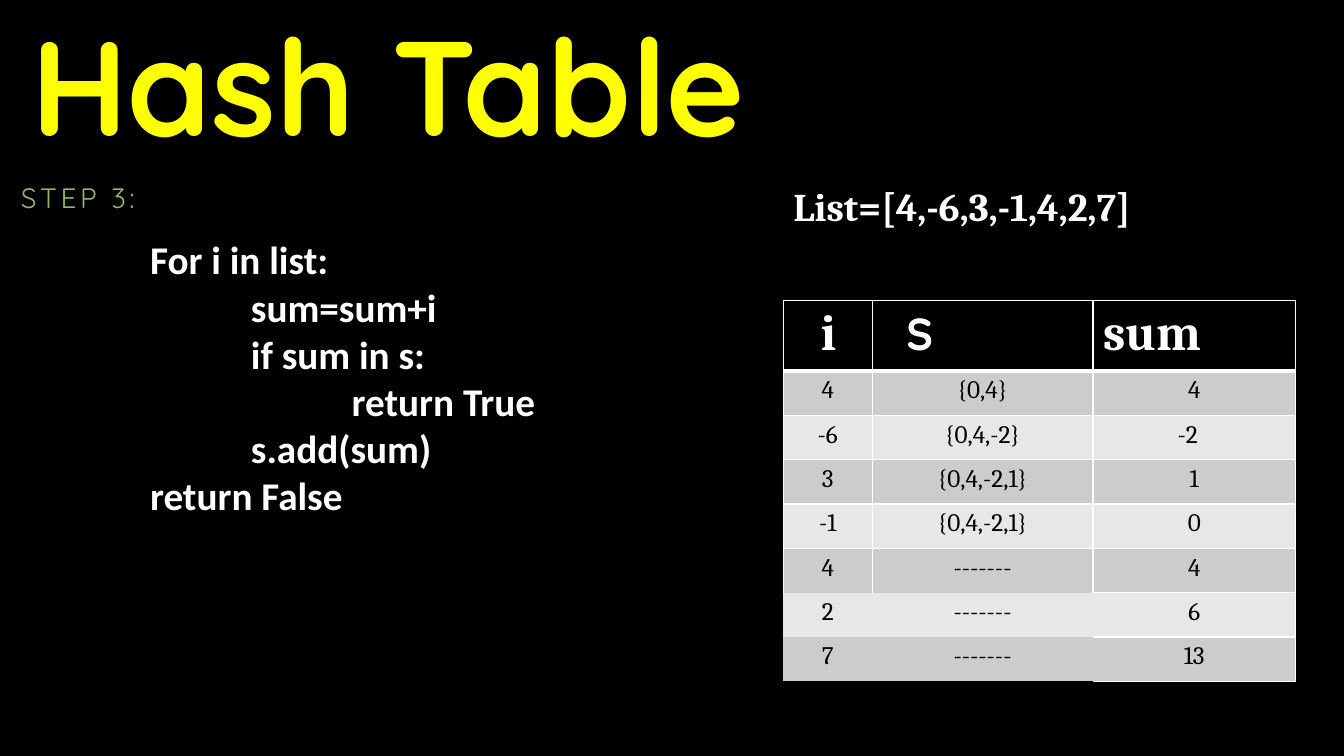
from dataclasses import dataclass
from typing import Any

from lxml import etree
from pptx import Presentation
from pptx.dml.color import RGBColor
from pptx.enum import text as tx
from pptx.oxml import ns
from pptx.util import Inches, Pt


@dataclass(frozen=True)
class Theme:
    back: str = "000000"
    light: str = "FFFFFF"
    title: str = "FFFF00"
    step: str = "96B86B"
    dark: str = "000000"
    bands: tuple[str, str] = ("CCCCCC", "E7E7E7")
    round: str = "Quicksand"
    sans: str = "Calibri"
    serif: str = "Cambria"
    huge: int = 96
    head: int = 36
    set_head: int = 32
    body: int = 28
    label: int = 20
    cell: int = 18


T = Theme()


@dataclass(frozen=True)
class Style:
    font: str
    size: int
    color: str
    bold: bool = False
    track: int = 0  # hundredths of a point


@dataclass(frozen=True)
class Line:
    text: str
    left: float = 0
    right: float = 0
    center: bool = False
    lead: float = 1


@dataclass(frozen=True)
class Box:
    at: tuple[float, float, float, float]
    style: Style
    lines: tuple[Line, ...]


@dataclass(frozen=True)
class Head:
    text: str
    width: float
    left: float
    style: Style


HEADS = (
    Head("i", 0.88, 0.27, Style(T.serif, T.head, T.light, True)),
    Head("S", 2.19, 0.24, Style(T.round, T.set_head, T.light, True)),
    Head("sum", 2.01, 0, Style(T.serif, T.head, T.light, True)),
)
ROWS = (
    ("4", "{0,4}", "4"),
    ("-6", "{0,4,-2}", "-2"),
    ("3", "{0,4,-2,1}", "1"),
    ("-1", "{0,4,-2,1}", "0"),
    ("4", "-------", "4"),
    ("2", "-------", "6"),
    ("7", "-------", "13"),
)
CODE = (
    (0, "For i in list:"),
    (1, "sum=sum+i"),
    (1, "if sum in s:"),
    (2, "return True"),
    (1, "s.add(sum)"),
    (0, "return False"),
)
BOXES = (
    Box((0.11, 1.78, 7.83, 1.08), Style(T.round, T.label, T.step, track=250),
        (Line("STEP 3:", lead=0.9),)),
    Box((1.39, 2.29, 7.48, 2.93), Style(T.sans, T.body, T.light, True),
        tuple(Line(code, left=depth) for depth, code in CODE)),
    Box((7.77, 1.76, 4.96, 0.57), Style(T.serif, T.body, T.light, True),
        (Line("List=[4,-6,3,-1,4,2,7]"),)),
)
FULL = 5  # last row ruled on every column
SIDES = "LRTB"


def write(frame: Any, lines: tuple[Line, ...], style: Style) -> None:
    for n, line in enumerate(lines):
        para = frame.add_paragraph() if n else frame.paragraphs[0]
        para.alignment = tx.PP_ALIGN.CENTER if line.center else tx.PP_ALIGN.LEFT
        para.line_spacing = line.lead
        for key, inset in (("marL", line.left), ("marR", line.right)):
            if inset:
                para._p.get_or_add_pPr().set(key, str(Inches(inset)))
        run = para.add_run()
        run.text = line.text
        font = run.font
        font.name, font.size, font.bold = style.font, Pt(style.size), style.bold
        font.color.rgb = RGBColor.from_string(style.color)
        if style.track:
            run._r.get_or_add_rPr().set("spc", str(style.track))


def place(shape: Any, at: tuple[float, float, float, float]) -> None:
    shape.left, shape.top, shape.width, shape.height = map(Inches, at)


def add_box(slide: Any, box: Box) -> None:
    shape = slide.shapes.add_textbox(*map(Inches, box.at))
    shape.text_frame.word_wrap = True
    write(shape.text_frame, box.lines, box.style)


def rule(cell: Any, widths: dict[str, int]) -> None:
    """Draw the given sides of a cell, in points, and clear the others."""
    props = cell._tc.get_or_add_tcPr()
    for n, side in enumerate(SIDES):
        edge = etree.Element(ns.qn(f"a:ln{side}"))
        if side in widths:
            edge.set("w", str(Pt(widths[side])))
            fill = etree.SubElement(edge, ns.qn("a:solidFill"))
            etree.SubElement(fill, ns.qn("a:srgbClr"), val=T.light)
        else:
            etree.SubElement(edge, ns.qn("a:noFill"))
        props.insert(n, edge)


def edges(row: int, col: int) -> dict[str, int]:
    if row > FULL:
        sides = "RTB" if col == 2 else ""
    else:
        sides = "LRT" if row == FULL and col < 2 else SIDES
    widths = dict.fromkeys(sides, 1)
    if row == 0:
        widths["B"] = 3
    elif row == 1:
        widths["T"] = 3
    return widths


def add_grid(slide: Any) -> None:
    grid = slide.shapes.add_table(len(ROWS) + 1, len(HEADS), Inches(7.77),
                                  Inches(2.98), Inches(5.08), Inches(3.78)).table
    grid.first_row = grid.horz_banding = False
    for n, row in enumerate(grid.rows):
        row.height = Inches(0.44 if n else 0.69)
    plain = Style(T.serif, T.cell, T.dark)
    for col, head in enumerate(HEADS):
        grid.columns[col].width = Inches(head.width)
        for row in range(len(ROWS) + 1):
            cell = grid.cell(row, col)
            cell.fill.solid()
            shade = T.bands[(row - 1) % 2] if row else T.back
            cell.fill.fore_color.rgb = RGBColor.from_string(shade)
            rule(cell, edges(row, col))
            if row:
                word = ROWS[row - 1][col]
                shift = 0.13 if word == "-2" else 0
                write(cell.text_frame, (Line(word, right=shift, center=True),), plain)
            else:
                write(cell.text_frame, (Line(head.text, head.left),), head.style)


def main() -> None:
    deck = Presentation()
    deck.slide_width, deck.slide_height = Inches(13.33), Inches(7.5)
    slide = deck.slides.add_slide(deck.slide_layouts[5])
    slide.background.fill.solid()
    slide.background.fill.fore_color.rgb = RGBColor.from_string(T.back)

    title = slide.shapes.title
    place(title, (0.21, -1.84, 9.67, 3.5))
    title.text_frame.auto_size = tx.MSO_AUTO_SIZE.NONE
    title.text_frame.vertical_anchor = tx.MSO_ANCHOR.BOTTOM
    write(title.text_frame, (Line("Hash Table", lead=0.8),),
          Style(T.round, T.huge, T.title, True))

    for box in BOXES:
        add_box(slide, box)
    add_grid(slide)
    deck.save("out.pptx")


if __name__ == "__main__":
    main()
